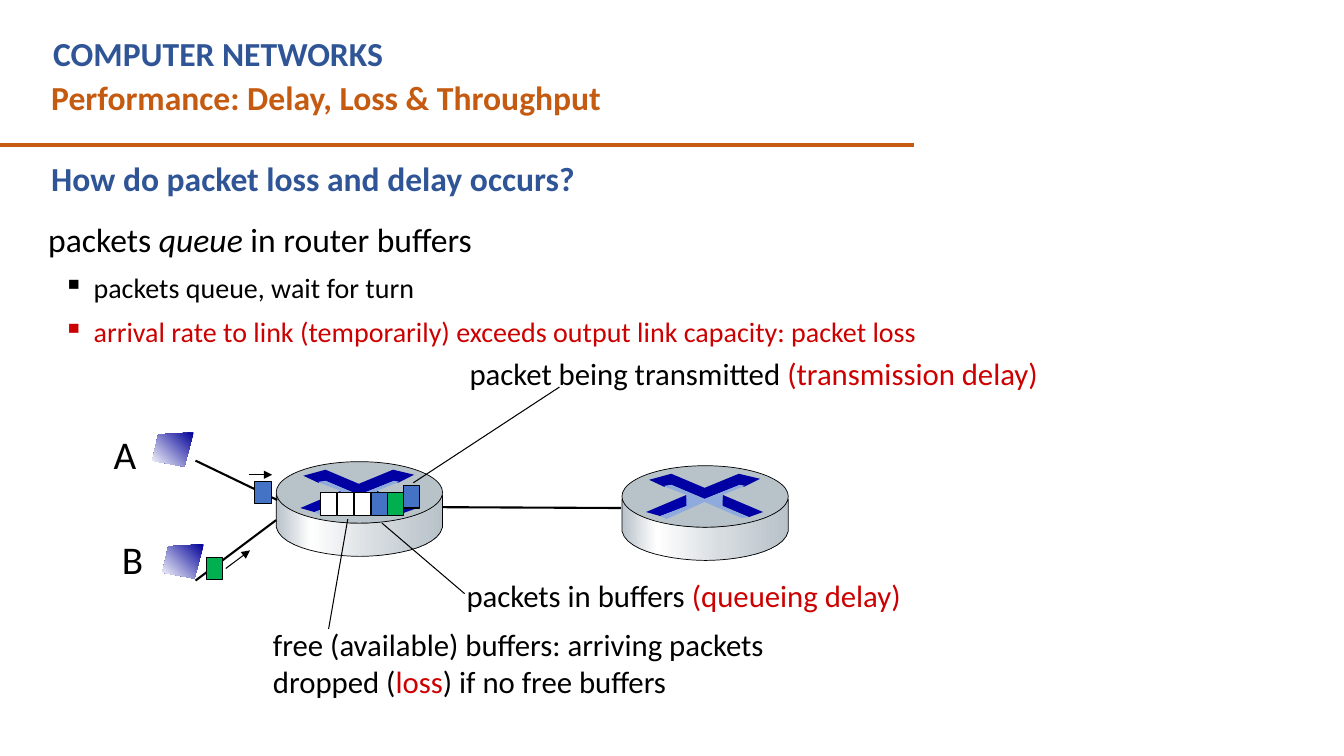
import pptx
import pptx.dml.color
import pptx.enum.shapes
import pptx.enum.text
import pptx.util
from lxml import etree
from pptx.oxml.ns import qn

# All lengths count cells of a grid with ten columns and ten rows per inch.
CELL = 91440
COLUMNS, ROWS = 133.33, 75

BLACK, RED, BLUE, ORANGE = "000000", "CC0000", "2F5597", "C55A11"
PACKET_BLUE, PACKET_GREEN, FREE = "4472C4", "00B050", "FFFFFF"

# Text boxes: left, top, width, height, size, bold, wrap, paragraphs of (text, colour)
headings = [
    (4.1, 7.1, 87.5, 5, 24, True, True, [[("Performance: Delay, Loss & Throughput", ORANGE)]]),
    (4.3, 2.8, 82, 5, 24, True, True, [[("COMPUTER NETWORKS", BLUE)]]),
    (4.1, 15.2, 87.5, 5, 24, True, True, [[("How do packet loss and delay occurs?", BLUE)]]),
]
labels = [
    (10.3, 42.2, 4.3, 5.7, 28, False, False, [[("A", BLACK)]]),
    (11.1, 52.6, 4.2, 5.7, 28, False, False, [[("B", BLACK)]]),
    (45.6, 34.7, 59.1, 4.7, 22, False, False,
     [[("packet being transmitted ", BLACK), ("(transmission delay)", RED)]]),
    (45.3, 56.7, 45.6, 4.7, 22, False, False,
     [[("packets in buffers ", BLACK), ("(queueing delay)", RED)]]),
    (26.1, 61.6, 51.9, 8.4, 22, False, False,
     [[("free (available) buffers: arriving packets", BLACK)],
      [("dropped (", BLACK), ("loss", RED), (") if no free buffers", BLACK)]]),
]
queue_intro = [("packets ", False), ("queue", True), (" in router buffers", False)]
queue_points = [
    ("packets queue, wait for turn", BLACK),
    ("arrival rate to link (temporarily) exceeds output link capacity: packet loss", RED),
]

# Lines: start x, start y, end x, end y, colour, width in points, arrowhead
title_rule = (0, 14.4, 90.7, 14.4, ORANGE, 3, False)
router_link = (40.4, 50.3, 61.6, 50.4, BLACK, 1.5, False)
host_links = [(19.4, 45.7, 27.5, 49.6, BLACK, 1.5, False),
              (19.4, 57.6, 27.4, 51.6, BLACK, 1.5, False)]
pointers = [(24.7, 47.1, 27, 47.1, BLACK, 0.75, True),
            (22.4, 56.4, 24.8, 54.6, BLACK, 0.75, True),
            (55.5, 38.4, 41, 47.9, BLACK, 0.75, False),
            (46.1, 58.9, 37.9, 51.9, BLACK, 0.75, False),
            (32.6, 62.4, 34.5, 51.5, BLACK, 0.75, False)]

# Router outlines, from its top left; six numbers make a Bezier curve
routers = [(27.4, 45.8), (61.7, 46.2)]
router_top = (16.5, 6.1)
router_side = [(16.5, 3.3), (16.5, 6.5), (16, 8.7, 11.1, 9.4, 8.3, 9.4),
               (5.6, 9.4, 0.5, 8.7, 0, 6.5), (0, 3.3), (0.8, 5.2, 5.4, 6.1, 8.2, 6.1),
               (10.9, 6.1, 15.7, 5.4, 16.5, 3.3)]
router_marks = [
    ("0000A3", [(11.6, 0.8), (13.7, 1.3), (12.1, 2.1), (11.7, 1.9), (8.2, 3.3), (4.9, 1.9),
                (4.2, 2.1), (2.7, 1.4), (4.9, 0.8), (8.2, 2.2)]),
    ("0000A3", [(10, 2.9), (14, 4.6), (12.6, 5.1), (9.9, 4)]),
    ("0000A8", [(6.4, 2.9), (6.5, 4), (3.8, 5), (2.4, 4.6)]),
    ("8FAADC", [(4.2, 2), (4.9, 1.9), (8.2, 3.3), (11.7, 1.9), (12.2, 2), (10, 2.9),
                (10, 4), (12.6, 5.1), (11.9, 5.2), (8.2, 3.6), (4.4, 5.3), (3.8, 5),
                (6.4, 4), (6.4, 2.9), (4.3, 2.1)]),
]
METAL = [(0, "B8C2C9"), (21, "FFFFFF"), (60, "D6DCE0"), (100, "B8C2C9")]

hosts = [(15.1, 42.9), (16.1, 54)]
host_screen = [(4.1, 0), (0.6, 0.2), (0, 2.8), (3.2, 3.4)]
SCREEN = [(0, "000099"), (100, "FFFFFF")]

# Packets: the buffer is an even row, the others stand alone
buffer_slots = [FREE, FREE, FREE, PACKET_BLUE, PACKET_GREEN]
buffer_left, buffer_top, buffer_step = 31.8, 48.9, 1.67
packet_size = (1.6, 2.2)
moving_packets = [(40, 48.2, PACKET_BLUE), (25.3, 47.8, PACKET_BLUE), (20.5, 55.3, PACKET_GREEN)]

deck = pptx.Presentation()
deck.slide_width, deck.slide_height = round(COLUMNS * CELL), ROWS * CELL
slide = deck.slides.add_slide(deck.slide_layouts[6])


def cells(*lengths):
    return [round(length * CELL) for length in lengths]


def rgb(value):
    return pptx.dml.color.RGBColor.from_string(value)


def paint(shape, fill, outline=None):
    shape.shadow.inherit = False
    shape.fill.solid()
    shape.fill.fore_color.rgb = rgb(fill)
    if outline:
        shape.line.color.rgb = rgb(BLACK)
        shape.line.width = pptx.util.Pt(outline)
    else:
        shape.line.fill.background()


def paint_gradient(shape, stops, angle):
    shape.fill.gradient()
    shape.fill.gradient_angle = -angle % 360
    stop_list = shape.fill._fill._gradFill.find(qn("a:gsLst"))
    for old in list(stop_list):
        stop_list.remove(old)
    for place, color in stops:
        stop = etree.SubElement(stop_list, qn("a:gs"), pos=str(place * 1000))
        etree.SubElement(stop, qn("a:srgbClr"), val=color)


def add_line(x1, y1, x2, y2, color, width, arrow):
    line = slide.shapes.add_connector(
        pptx.enum.shapes.MSO_CONNECTOR.STRAIGHT, *cells(x1, y1, x2, y2))
    line.line.color.rgb = rgb(color)
    line.line.width = pptx.util.Pt(width)
    if arrow:
        etree.SubElement(line.line._get_or_add_ln(), qn("a:tailEnd"), type="triangle")
    etree.SubElement(line._element.spPr, qn("a:effectLst"))


def add_outline(shapes, origin, outline):
    points = []
    for step in outline:
        if len(step) == 2:
            points.append(step)
            continue
        corners = [points[-1], step[:2], step[2:4], step[4:]]
        for t in [n / 12 for n in range(1, 13)]:
            weights = ((1 - t) ** 3, 3 * t * (1 - t) ** 2, 3 * t * t * (1 - t), t ** 3)
            points.append(tuple(sum(w * c[axis] for w, c in zip(weights, corners))
                                for axis in (0, 1)))
    points = [cells(origin[0] + x, origin[1] + y) for x, y in points]
    builder = shapes.build_freeform(*points[0])
    builder.add_line_segments(points[1:], close=True)
    return builder.convert_to_shape()


def add_router(origin):
    parts = slide.shapes.add_group_shape().shapes
    side = add_outline(parts, origin, router_side)
    paint(side, FREE, 0.5)
    paint_gradient(side, METAL, 0)
    top = parts.add_shape(pptx.enum.shapes.MSO_SHAPE.OVAL, *cells(*origin, *router_top))
    paint(top, "B8C2C9", 0.5)
    for color, outline in router_marks:
        paint(add_outline(parts, origin, outline), color)


def add_packet(left, top, color):
    packet = slide.shapes.add_shape(
        pptx.enum.shapes.MSO_SHAPE.RECTANGLE, *cells(left, top, *packet_size))
    paint(packet, color, 0.75)


def style(paragraph, size, bold=False):
    paragraph.font.name = "Calibri"
    paragraph.font.size = pptx.util.Pt(size)
    paragraph.font.bold = bold


def add_text(left, top, width, height, size, bold, wrap, paragraphs):
    frame = slide.shapes.add_textbox(*cells(left, top, width, height)).text_frame
    frame.word_wrap = wrap
    frame.auto_size = pptx.enum.text.MSO_AUTO_SIZE.SHAPE_TO_FIT_TEXT
    for index, pieces in enumerate(paragraphs):
        paragraph = frame.add_paragraph() if index else frame.paragraphs[0]
        style(paragraph, size, bold)
        if len(pieces) == 1:
            paragraph.font.color.rgb = rgb(pieces[0][1])
        for words, color in pieces:
            run = paragraph.add_run()
            run.text = words
            if len(pieces) > 1:
                run.font.color.rgb = rgb(color)


def add_queue_text():
    frame = slide.shapes.add_textbox(*cells(3.8, 21.7, 121.8, 39.5)).text_frame
    frame.word_wrap = True
    intro = frame.paragraphs[0]
    intro.line_spacing = 0.9
    style(intro, 24)
    intro.font.color.rgb = rgb(BLACK)
    for words, italic in queue_intro:
        run = intro.add_run()
        run.text = words
        run.font.italic = italic
    for words, color in queue_points:
        point = frame.add_paragraph()
        point.text = words
        point.line_spacing = 0.9
        point.space_before = pptx.util.Pt(10)
        properties = point._p.get_or_add_pPr()
        margin, indent = cells(4.5, -3)
        properties.set("marL", str(margin))
        properties.set("indent", str(indent))
        etree.SubElement(properties, qn("a:buChar"), char="▪")
        style(point, 20)
        point.font.color.rgb = rgb(color)


# Headings and explanation
add_line(*title_rule)
for heading in headings:
    add_text(*heading)
add_queue_text()

# Network: links, routers, hosts
add_line(*router_link)
for origin in routers:
    add_router(origin)
for link in host_links:
    add_line(*link)
for origin in hosts:
    screen = add_outline(slide.shapes, origin, host_screen)
    paint(screen, FREE)
    paint_gradient(screen, SCREEN, 135)

# Packets, then labels with their pointers
for slot, color in enumerate(buffer_slots):
    add_packet(buffer_left + slot * buffer_step, buffer_top, color)
for packet in moving_packets:
    add_packet(*packet)
for label in labels:
    add_text(*label)
for pointer in pointers:
    add_line(*pointer)

deck.save("out.pptx")
